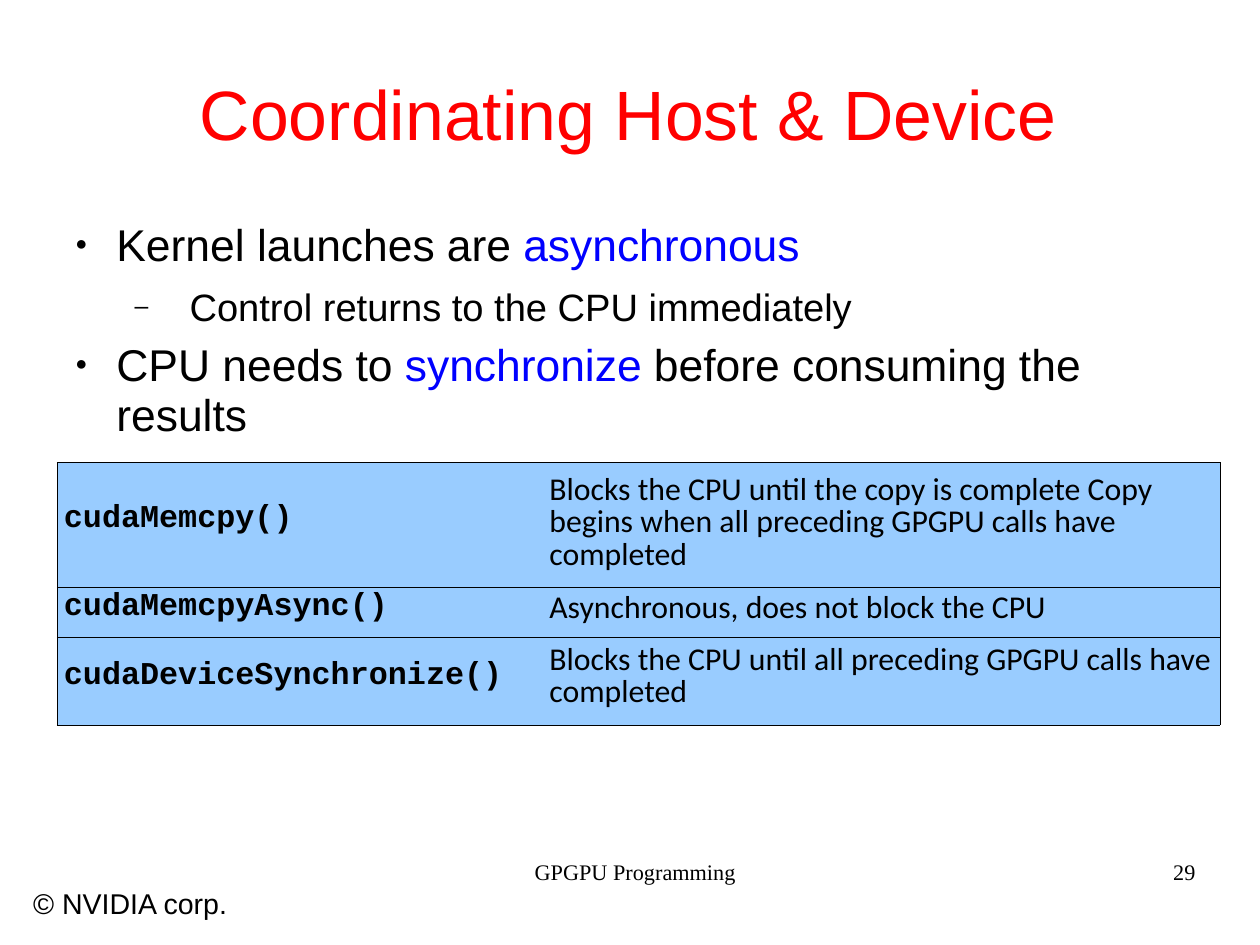
from dataclasses import dataclass

from lxml import etree
from pptx import Presentation
from pptx.dml.color import RGBColor
from pptx.enum.text import MSO_ANCHOR, MSO_AUTO_SIZE, PP_ALIGN
from pptx.oxml.ns import qn
from pptx.util import Inches, Pt

TOP = MSO_ANCHOR.TOP
NO_AUTOFIT = MSO_AUTO_SIZE.NONE
LEFT, CENTER = PP_ALIGN.LEFT, PP_ALIGN.CENTER
WIDTH, HEIGHT = Inches(11.03), Inches(8.27)
TITLE_ONLY = 5


@dataclass(frozen=True)
class Theme:
    ink: str = "000000"
    title: str = "FF0000"
    accent: str = "0000FF"
    cell: str = "99CCFF"
    sans: str = "Arial"
    serif: str = "Times New Roman"
    code: str = "Courier New"
    table: str = "Calibri"
    title_size: int = 44
    point_size: int = 28
    detail_size: int = 24
    table_size: int = 20
    copyright_size: int = 18
    footer_size: int = 14
    border: float = 0.25


THEME = Theme()


# Lengths are percentages of the slide's width or height
def across(percent):
    return round(WIDTH * percent / 100)


def down(percent):
    return round(HEIGHT * percent / 100)


def area(left, top, width, height):
    return across(left), down(top), across(width), down(height)


def add_run(paragraph, text, font, size, color=THEME.ink, bold=False):
    run = paragraph.add_run()
    run.text = text
    run.font.name, run.font.size, run.font.bold = font, Pt(size), bold
    run.font.color.rgb = RGBColor.from_string(color)


def prepare_frame(frame, wrap=True):
    frame.margin_left = frame.margin_right = 0
    frame.margin_top = frame.margin_bottom = 0
    frame.word_wrap = wrap
    frame.auto_size = NO_AUTOFIT
    frame.vertical_anchor = TOP


def add_text_box(slide, box):
    frame = slide.shapes.add_textbox(*area(*box)).text_frame
    prepare_frame(frame)
    return frame


def add_label(slide, box, text, font, size, line_height):
    paragraph = add_text_box(slide, box).paragraphs[0]
    paragraph.line_spacing = Pt(line_height)
    add_run(paragraph, text, font, size)


def set_title(slide, text):
    title = slide.shapes.title
    title.left, title.top, title.width, title.height = area(15.78, 7.46, 68.27, 9.31)
    prepare_frame(title.text_frame, wrap=False)
    paragraph = title.text_frame.paragraphs[0]
    paragraph.alignment = CENTER
    add_run(paragraph, text, THEME.sans, THEME.title_size, THEME.title)


def set_bullet(paragraph, symbol, percent, margin, hang):
    properties = paragraph._p.get_or_add_pPr()
    properties.set("marL", str(Inches(margin)))
    properties.set("indent", str(-Inches(hang)))
    size = etree.SubElement(properties, qn("a:buSzPct"))
    size.set("val", str(percent * 1000))
    etree.SubElement(properties, qn("a:buFont")).set("typeface", THEME.sans)
    etree.SubElement(properties, qn("a:buChar")).set("char", symbol)


def add_points(slide, points):
    bullets = (("●", 45, 0.36, 0.36), ("–", 65, 1.0, 0.48))
    sizes = (THEME.point_size, THEME.detail_size)
    frame = add_text_box(slide, (5.98, 22.95, 80.15, 22.5))
    for index, (level, before, line_height, runs) in enumerate(points):
        paragraph = frame.add_paragraph() if index else frame.paragraphs[0]
        set_bullet(paragraph, *bullets[level])
        if before:
            paragraph.space_before = Pt(before)
        if line_height:
            paragraph.line_spacing = Pt(line_height)
        for text, color in runs:
            add_run(paragraph, text, THEME.sans, sizes[level], color)


def set_borders(cell, hidden_side):
    properties = cell._tc.get_or_add_tcPr()
    for side in ("lnL", "lnR", "lnT", "lnB"):
        line = etree.SubElement(properties, qn(f"a:{side}"), w=str(Pt(THEME.border)))
        if side == hidden_side:
            etree.SubElement(line, qn("a:noFill"))
        else:
            fill = etree.SubElement(line, qn("a:solidFill"))
            etree.SubElement(fill, qn("a:srgbClr"), val=THEME.ink)


def fill_cell(cell, text, font, bold, left, top, hidden_side, spacing=None):
    set_borders(cell, hidden_side)
    cell.fill.solid()
    cell.fill.fore_color.rgb = RGBColor.from_string(THEME.cell)
    cell.margin_left, cell.margin_top = Inches(left), Inches(top)
    cell.margin_right = cell.margin_bottom = 0
    cell.vertical_anchor = TOP
    paragraph = cell.text_frame.paragraphs[0]
    paragraph.alignment = LEFT
    if spacing:
        paragraph.line_spacing = spacing
    add_run(paragraph, text, font, THEME.table_size, bold=bold)


def add_call_table(slide, calls):
    widths = (37.17, 55.12)
    heights = [call[0] for call in calls]
    box = area(4.53, 48.92, sum(widths), sum(heights))
    table = slide.shapes.add_table(len(calls), len(widths), *box).table
    table.first_row = table.horz_banding = False
    for column, width in zip(table.columns, widths):
        column.width = across(width)
    for row, (height, name, name_top, effect, effect_top, spacing) in enumerate(calls):
        table.rows[row].height = down(height)
        fill_cell(table.cell(row, 0), name, THEME.code, True, 0.06, name_top, "lnR")
        fill_cell(table.cell(row, 1), effect, THEME.table, False, 0.21, effect_top,
                  "lnL", spacing)


def main():
    presentation = Presentation()
    presentation.slide_width, presentation.slide_height = WIDTH, HEIGHT
    slide = presentation.slides.add_slide(presentation.slide_layouts[TITLE_ONLY])

    set_title(slide, "Coordinating Host & Device")

    # Points: level, space before, line height, runs
    add_points(slide, (
        (0, None, None, (("Kernel launches are ", THEME.ink),
                         ("asynchronous", THEME.accent))),
        (1, 8.3, None, (("Control returns to the CPU immediately", THEME.ink),)),
        (0, 7.5, 31.2, (("CPU needs to ", THEME.ink),
                        ("synchronize ", THEME.accent),
                        ("before consuming the results", THEME.ink))),
    ))

    # Calls: row height, name, name inset, effect, effect inset, line spacing
    add_call_table(slide, (
        (13.18, "cudaMemcpy()", 0.34,
         "Blocks the CPU until the copy is complete Copy begins when all "
         "preceding GPGPU calls have completed", 0.11, 0.83),
        (5.32, "cudaMemcpyAsync()", 0.02,
         "Asynchronous, does not block the CPU", 0.01, None),
        (9.31, "cudaDeviceSynchronize()", 0.18,
         "Blocks the CPU until all preceding GPGPU calls have completed",
         0.09, Pt(20)),
    ))

    # Footer
    add_label(slide, (42.43, 90.93, 20, 2.9), "GPGPU Programming",
              THEME.serif, THEME.footer_size, 16.3)
    add_label(slide, (93.11, 90.93, 2.4, 2.9), "29",
              THEME.serif, THEME.footer_size, 16.3)
    add_label(slide, (2.63, 93.83, 17, 3.75), "© NVIDIA corp.",
              THEME.sans, THEME.copyright_size, 20.9)

    presentation.save("out.pptx")


if __name__ == "__main__":
    main()
